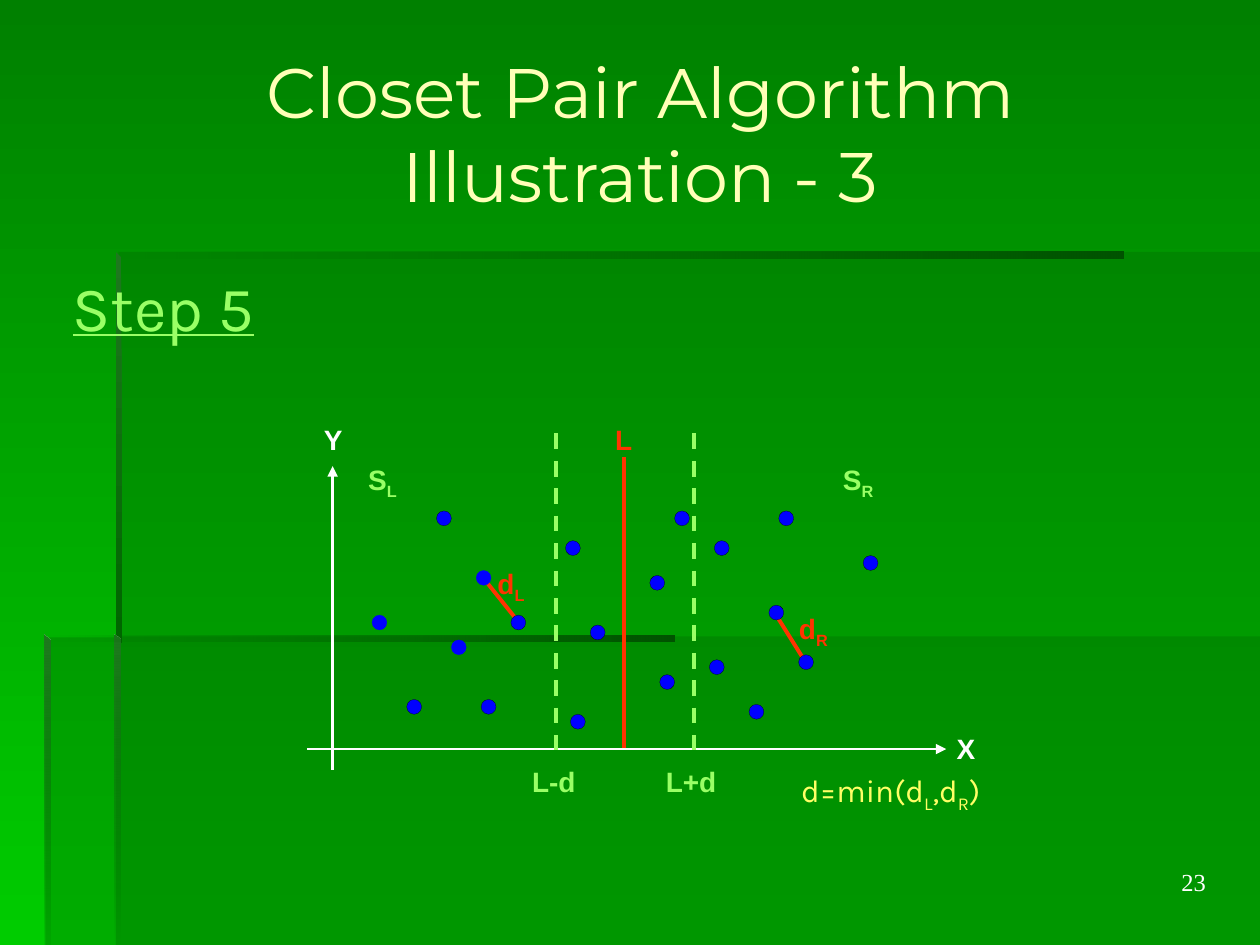
import lxml.etree
import pptx
import pptx.dml.color
import pptx.enum.dml
import pptx.enum.shapes
import pptx.enum.text
import pptx.oxml.ns
import pptx.util

ALIGN = pptx.enum.text.PP_ALIGN
ANCHOR = pptx.enum.text.MSO_ANCHOR
AUTO = pptx.enum.text.MSO_AUTO_SIZE
qn = pptx.oxml.ns.qn

GREEN, RED, WHITE, BLUE, BLACK = "99FF66", "FF3300", "FFFFFF", "0000FF", "000000"
SHADE, DARK, LIGHT = "006600", "005300", "1E781E"


def rgb(value):
    return pptx.dml.color.RGBColor.from_string(value)


class Deck:
    """Draws elements on one slide, with lengths in a grid of 100 columns by 75 rows."""

    label = {"name": "Arial", "size": pptx.util.Pt(16), "bold": True}
    body = {"name": "Karla"}

    def __init__(self):
        self.prs = pptx.Presentation()
        self.prs.slide_width = pptx.util.Inches(10)
        self.prs.slide_height = pptx.util.Inches(7.5)
        self.cell = self.prs.slide_width / 100
        self.s = self.prs.slides.add_slide(self.prs.slide_layouts[6])

    def emu(self, *cells):
        return [pptx.util.Emu(round(c * self.cell)) for c in cells]

    def gradient(self, fill, colors, angle):
        fill.gradient()
        fill.gradient_angle = 360 - angle
        for stop, color in zip(fill.gradient_stops, colors):
            stop.color.rgb = rgb(color)

    def panel(self, points, colors, opacity, angle=None):
        points = [self.emu(*point) for point in points]
        builder = self.s.shapes.build_freeform(*points[0], scale=1.0)
        builder.add_line_segments(points[1:], close=True)
        sp = builder.convert_to_shape()
        sp.shadow.inherit = False
        sp.line.fill.background()
        if angle is None:
            sp.fill.solid()
            sp.fill.fore_color.rgb = rgb(colors[0])
        else:
            self.gradient(sp.fill, colors, angle)
        last = list(sp._element.spPr.iter(qn("a:srgbClr")))[-1]
        if opacity < 100:
            lxml.etree.SubElement(last, qn("a:alpha")).set("val", str(opacity * 1000))

    def text(self, box, parts, color, font, inset=0, align=ALIGN.CENTER, **frame):
        """Writes parts that alternate between baseline and subscript."""
        tf = self.s.shapes.add_textbox(*self.emu(*box)).text_frame
        settings = {
            "margin_left": inset, "margin_right": inset,
            "margin_top": inset / 2, "margin_bottom": inset / 2,
        }
        for name, value in settings.items():
            setattr(tf, name, self.emu(value)[0])
        for name, value in {"word_wrap": False, "auto_size": AUTO.SHAPE_TO_FIT_TEXT, **frame}.items():
            setattr(tf, name, value)
        p = tf.paragraphs[0]
        p.alignment = align
        for i, part in enumerate(parts):
            r = p.add_run()
            r.text = part
            for name, value in font.items():
                setattr(r.font, name, value)
            r.font.color.rgb = rgb(color)
            if i % 2:
                r._r.get_or_add_rPr().set("baseline", "-25000")

    def line(self, start, end, color, width=2.25, arrow=None, dash=None):
        sp = self.s.shapes.add_connector(
            pptx.enum.shapes.MSO_CONNECTOR.STRAIGHT, *self.emu(*start, *end))
        sp.line.color.rgb = rgb(color)
        sp.line.width = pptx.util.Pt(width)
        if dash:
            sp.line.dash_style = dash
        if arrow:
            lxml.etree.SubElement(sp.line._get_or_add_ln(), qn(arrow)).set("type", "triangle")
        lxml.etree.SubElement(sp._element.spPr, qn("a:effectLst"))

    def dot(self, x, y, outline):
        """Places a dot by its corner on a millimetre grid."""
        box = [mm / 2.54 for mm in (x, y, 3, 3)]
        sp = self.s.shapes.add_shape(pptx.enum.shapes.MSO_SHAPE.OVAL, *self.emu(*box))
        sp.shadow.inherit = False
        sp.fill.solid()
        sp.fill.fore_color.rgb = rgb(BLUE)
        sp.line.color.rgb = rgb(outline)
        sp.line.width = pptx.util.Pt(0.1)


PANELS = [
    ([(9.2, 50.5), (9.2, 75), (100, 75), (100, 50.5)], [SHADE], 30),
    ([(9.4, 50.6), (3.6, 50.6), (3.6, 75), (100, 75), (100, 20), (9.4, 20)], [SHADE], 30),
    ([(9.2, 20), (9.2, 20.5), (89.15, 20.5), (89.15, 20)], [DARK, SHADE], 0, 180),
    ([(9.2, 20), (9.2, 51), (9.7, 51), (9.6, 20.4)], [LIGHT, SHADE], 100, 90),
    ([(9.1, 75), (9.6, 75), (9.6, 50.8), (9.1, 50.4)], [LIGHT, SHADE], 0, 90),
    ([(3.5, 50.4), (3.5, 50.9), (53.5, 50.9), (53.5, 50.4)], [DARK, SHADE], 0, 180),
    ([(3.5, 50.4), (3.5, 75), (4, 75), (4, 50.9)], [LIGHT, SHADE], 10, 90),
]
LABELS = [
    ((63, 48.5, 3.1, 3), ["d", "R"], RED),
    ((39.1, 45, 2.9, 3), ["d", "L"], RED),
    ((28.8, 36.7, 3.1, 3), ["S", "L"], GREEN),
    ((66.5, 36.7, 3.2, 3), ["S", "R"], GREEN),
    ((48.8, 33.5, 1.4, 2.7), ["L"], RED),
    ((25.7, 33.5, 1.5, 2.7), ["Y"], WHITE),
    ((75.9, 58.1, 1.5, 2.7), ["X"], WHITE),
    ((42.2, 60.7, 3.5, 2.7), ["L-d"], GREEN),
    ((52.8, 60.7, 4.1, 2.7), ["L+d"], GREEN),
]
PAIR_LINES = [((61.4, 48.5), (63.9, 52.5)), ((38.3, 45.8), (41.1, 49.3))]
DIVIDER = ((49.5, 36.3), (49.5, 59.4))
BLUE_EDGED = [(75, 124), (96, 115), (91, 129)]
BLACK_EDGED = [
    (88, 103), (114, 109), (82, 141), (97, 141), (115, 144), (133, 136), (136, 103),
    (103, 124), (119, 126), (131, 116), (143, 133), (151, 142), (161, 132), (155, 122),
    (144, 109), (157, 103), (174, 112),
]


def main():
    d = Deck()
    d.gradient(d.s.background.fill, ["008000", "00CC00"], 90)
    for panel in PANELS:
        d.panel(*panel)
    for start, end in PAIR_LINES + [DIVIDER]:
        d.line(start, end, RED)
    d.line((26.4, 37), (26.4, 61.1), WHITE, 1.5, "a:headEnd")
    d.line((24.4, 59.45), (75.1, 59.45), WHITE, 1.5, "a:tailEnd")
    for outline, dots in ((BLUE, BLUE_EDGED), (BLACK, BLACK_EDGED)):
        for x, y in dots:
            d.dot(x, y, outline)
    for x in (44.1, 55.1):
        d.line((x, 34.4), (x, 59.5), GREEN, dash=pptx.enum.dml.MSO_LINE.DASH)
    for box, parts, color in LABELS:
        d.text(box, parts, color, d.label)

    fixed = {"word_wrap": True, "auto_size": AUTO.NONE}
    d.text((5, 2.7, 91.7, 15.7), ["Closet Pair Algorithm Illustration - 3"], "FFFFB7",
           {"name": "Montserrat", "size": pptx.util.Pt(40)}, 1,
           vertical_anchor=ANCHOR.MIDDLE, **fixed)
    d.text((4.8, 20.8, 16.6, 7), ["Step 5"], GREEN,
           {**d.body, "size": pptx.util.Pt(36), "underline": True}, 1, ALIGN.LEFT)
    d.text((62.4, 60.7, 16.6, 4.4), ["d=min(d", "L", ",d", "R", ")"], "FFFF66",
           {**d.body, "size": pptx.util.Pt(18)}, 1)
    d.text((75.9, 68.3, 20.8, 5.2), ["23"], WHITE,
           {"name": "Times New Roman", "size": pptx.util.Pt(14)}, 1, ALIGN.RIGHT, **fixed)
    d.prs.save("out.pptx")


if __name__ == "__main__":
    main()
